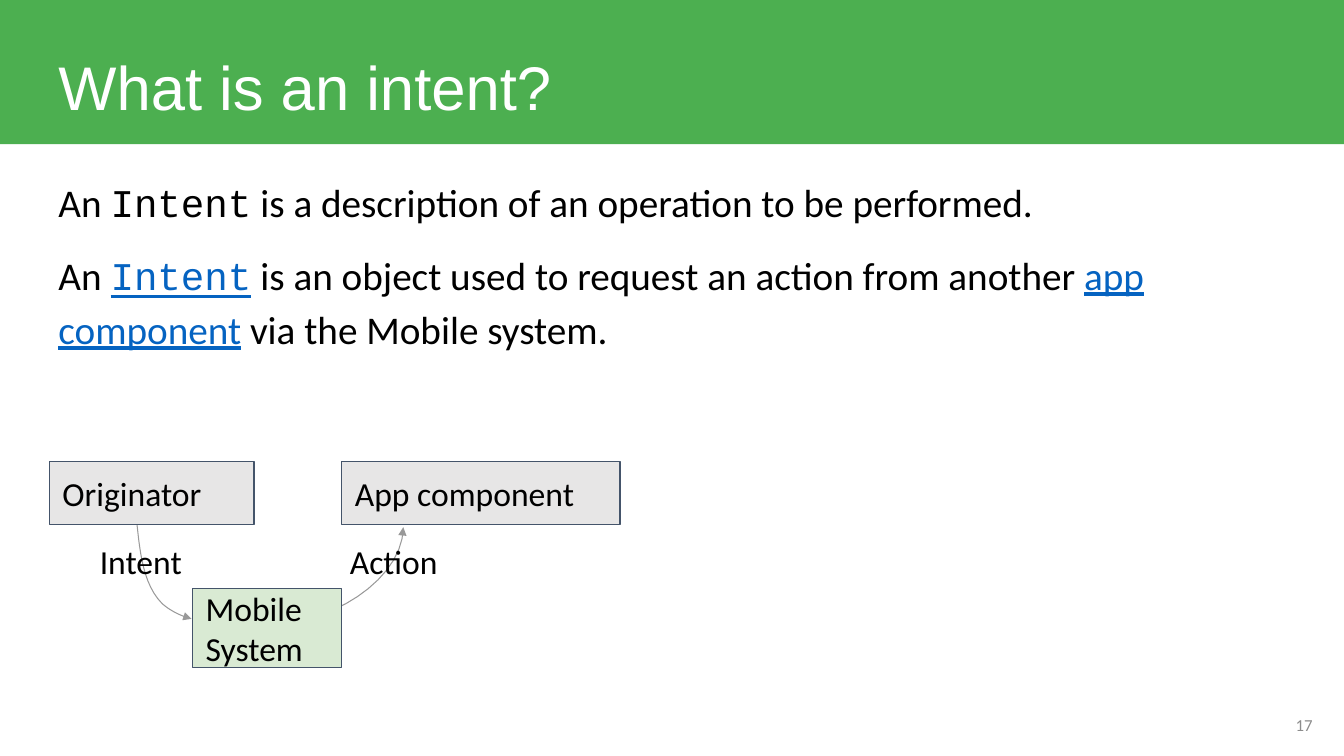
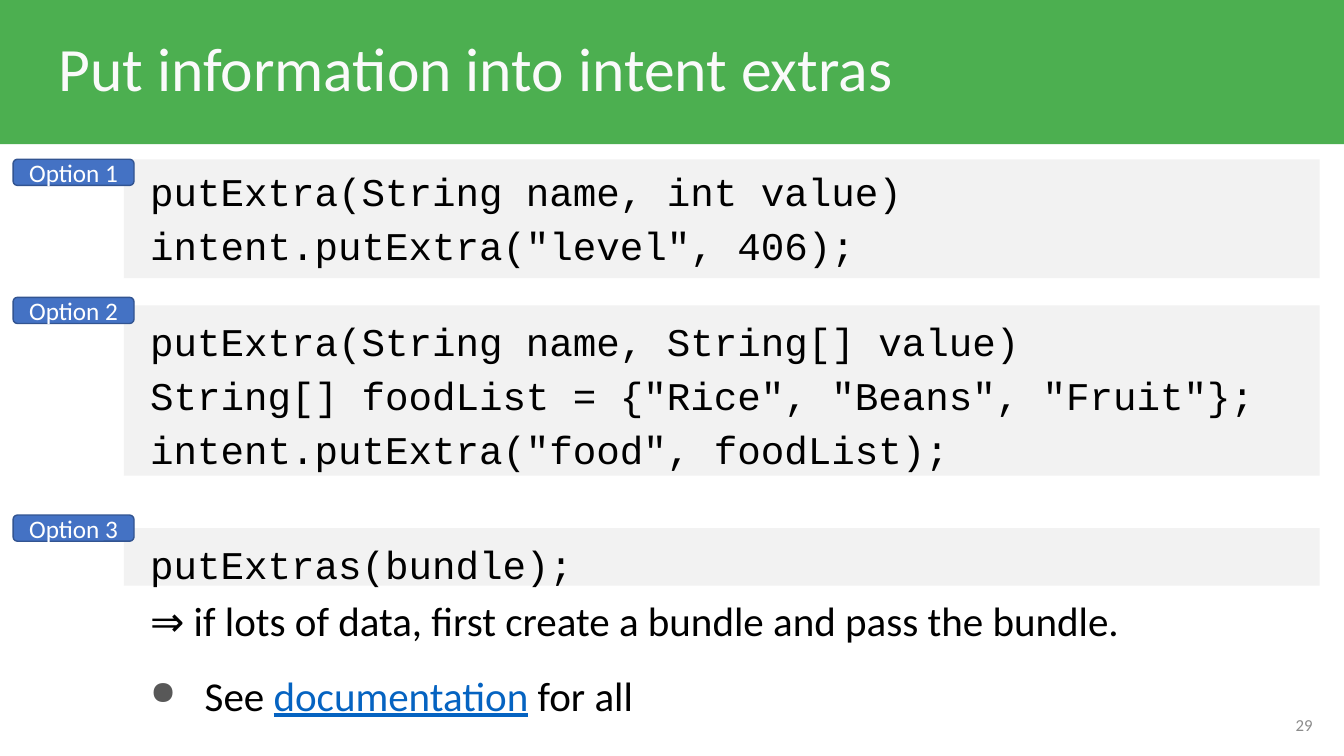
from lxml.etree import SubElement
from pptx import Presentation
from pptx.dml.color import RGBColor
from pptx.enum.shapes import MSO_SHAPE
from pptx.enum.text import MSO_ANCHOR, PP_ALIGN
from pptx.oxml.ns import qn
from pptx.util import Inches, Pt

GREEN = RGBColor(0x4C, 0xAF, 0x50)
MINT = RGBColor(0xD9, 0xEA, 0xD3)
WHITE = RGBColor(0xFF, 0xFF, 0xFF)
PALE = RGBColor(0xFA, 0xFA, 0xFA)
BLACK = RGBColor(0, 0, 0)
GRAY = RGBColor(0x8C, 0x8C, 0x8C)
SILVER = RGBColor(0xE7, 0xE6, 0xE6)
PANEL = RGBColor(0xF2, 0xF2, 0xF2)
WIRE = RGBColor(0x99, 0x99, 0x99)
SLATE = RGBColor(0x44, 0x54, 0x6A)
BLUE = RGBColor(0x44, 0x72, 0xC4)
NAVY = RGBColor(0x32, 0x54, 0x91)
LINK = RGBColor(0x05, 0x63, 0xC1)
CODE = {"font": "Courier New"}
URL = {"color": LINK, "under": True}


def write(shape, paras, size=28, font="Calibri", color=BLACK, align=PP_ALIGN.LEFT,
          anchor=MSO_ANCHOR.TOP, space=1.0, inset=0.13):
    """Fill a shape with paragraphs: (points before, [(text, run format), ...])."""
    frame = shape.text_frame
    frame.word_wrap = True
    frame.vertical_anchor = anchor
    if inset is not None:
        frame.margin_left = frame.margin_right = Inches(inset)
        frame.margin_top = frame.margin_bottom = Inches(inset)
    if isinstance(paras, str):
        paras = [(0, [(paras, {})])]
    for i, (before, runs) in enumerate(paras):
        para = frame.paragraphs[0] if i == 0 else frame.add_paragraph()
        para.alignment = align
        para.line_spacing = space
        para.space_before = Pt(before)
        for text, form in runs:
            for j, line in enumerate(text.split("\n")):
                if j:
                    para.add_line_break()
                if not line:
                    continue
                run = para.add_run()
                run.text = line
                run.font.size = Pt(form.get("size", size))
                run.font.name = form.get("font", font)
                run.font.color.rgb = form.get("color", color)
                run.font.underline = form.get("under", False)
    return frame


def block(slide, x, y, w, h, fill, line=None, weight=0.75, kind=MSO_SHAPE.RECTANGLE):
    shape = slide.shapes.add_shape(kind, Inches(x), Inches(y), Inches(w), Inches(h))
    shape.shadow.inherit = False
    shape.fill.solid()
    shape.fill.fore_color.rgb = fill
    if line is None:
        shape.line.fill.background()
    else:
        shape.line.color.rgb = line
        shape.line.width = Pt(weight)
    return shape


deck = Presentation()
deck.slide_width, deck.slide_height = Inches(13.33), Inches(7.5)

# Shared band, title and page number
slides = []
for title, font, color, space, page in (
        ("What is an intent?", "Arial", WHITE, 1.15, "17"),
        ("Put information into intent extras", "Calibri", PALE, 0.9, "29")):
    slide = deck.slides.add_slide(deck.slide_layouts[6])
    block(slide, -0.02, -0.06, 13.35, 1.49, GREEN)
    box = slide.shapes.add_textbox(Inches(0.45), Inches(0.25), Inches(12.42), Inches(0.84))
    write(box, title, size=44, font=font, color=color, space=space)
    box = slide.shapes.add_textbox(Inches(12.35), Inches(6.91), Inches(0.8), Inches(0.57))
    write(box, page, size=12, color=GRAY, align=PP_ALIGN.RIGHT, anchor=MSO_ANCHOR.MIDDLE)
    slides.append(slide)
first, second = slides

# Slide 1: definition and flow
body = first.shapes.add_textbox(Inches(0.45), Inches(1.57), Inches(12.42), Inches(4.98))
write(body, [
    (0, [("An ", {}), ("Intent", CODE),
         (" is a description of an operation to be performed.", {})]),
    (13.3, [("An ", {}), ("Intent", CODE | URL),
            (" is an object used to request an action from another ", {}),
            ("app component", URL), (" via the Mobile system.", {})]),
], space=1.15)

# Each curve is a chain of cubic arcs: start, then two handles and an end per arc
STEPS = 12
for start, *rest in (
        [(1.36, 5.21), (1.39, 5.48), (1.42, 5.8), (1.61, 5.99),
         (1.69, 6.06), (1.79, 6.11), (1.9, 6.14)],
        [(2.96, 6.15), (3.42, 6.09), (4, 5.69), (4, 5.23)]):
    points, here = [], start
    for k in range(0, len(rest), 3):
        arc = [here, *rest[k:k + 3]]
        for step in range(1, STEPS + 1):
            t = step / STEPS
            mix = ((1 - t) ** 3, 3 * t * (1 - t) ** 2, 3 * t * t * (1 - t), t ** 3)
            points.append(tuple(Inches(sum(m * p[axis] for m, p in zip(mix, arc)))
                                for axis in (0, 1)))
        here = arc[-1]
    pen = first.shapes.build_freeform(Inches(start[0]), Inches(start[1]))
    pen.add_line_segments(points, close=False)
    curve = pen.convert_to_shape()
    curve.shadow.inherit = False
    curve.fill.background()
    curve.line.color.rgb = WIRE
    curve.line.width = Pt(0.75)
    SubElement(curve.element.spPr.find(qn("a:ln")), qn("a:tailEnd"), type="triangle")

# The boxes follow the curves, so the system box hides the start of the second one
for text, x, y, w, h, fill in (
        ("App component", 3.39, 4.58, 2.76, 0.62, SILVER),
        ("Originator", 0.49, 4.58, 2.03, 0.62, SILVER),
        ("Mobile System", 1.91, 5.84, 1.48, 0.78, MINT)):
    write(block(first, x, y, w, h, fill, SLATE), text, size=24, anchor=MSO_ANCHOR.MIDDLE)

for text, x, w in (("Intent", 0.86, 1.51), ("Action", 3.34, 1.63)):
    box = first.shapes.add_textbox(Inches(x), Inches(5.24), Inches(w), Inches(0.45))
    write(box, text, size=24)

# Slide 2: code panels, body and option tags
for y, h in ((5.24, 0.57), (3.03, 1.69), (1.58, 1.18)):
    block(second, 1.23, y, 11.86, h, PANEL)

body = second.shapes.add_textbox(Inches(1.23), Inches(1.46), Inches(11.65), Inches(4.98))
big = {"size": 29.3}
frame = write(body, [
    (0, [('putExtra(String name, int value)\nintent.putExtra("level", 406);', CODE)]),
    (30, [('putExtra(String name, String[] value)\n'
           'String[] foodList = {"Rice", "Beans", "Fruit"};\n'
           'intent.putExtra("food", foodList);', CODE)]),
    (43.5, [("putExtras(bundle);\n", CODE),
            ("⇒ if lots of data, first create a bundle and pass the bundle.", big)]),
    (13.3, [("See ", big), ("documentation", big | URL), (" for all", big)]),
], space=1.15)
for para in frame.paragraphs:
    props = para._p.get_or_add_pPr()
    props.set("marL", str(Inches(0.13)))
    props.set("indent", "0")

# The last paragraph is the bulleted one
props.set("marL", str(Inches(0.67)))
props.set("indent", str(-Inches(0.54)))
tint = SubElement(props, qn("a:buClr"))
SubElement(tint, qn("a:srgbClr"), val="585858")
SubElement(props, qn("a:buSzPct"), val="80000")
SubElement(props, qn("a:buChar"), char="●")

for i, y in enumerate((1.58, 2.95, 5.11), 1):
    tag = block(second, 0.13, y, 1.2, 0.26, BLUE, NAVY, 1, MSO_SHAPE.ROUNDED_RECTANGLE)
    write(tag, f"Option {i}", size=18, color=WHITE, align=PP_ALIGN.CENTER,
          anchor=MSO_ANCHOR.MIDDLE, inset=None)

deck.save("out.pptx")
